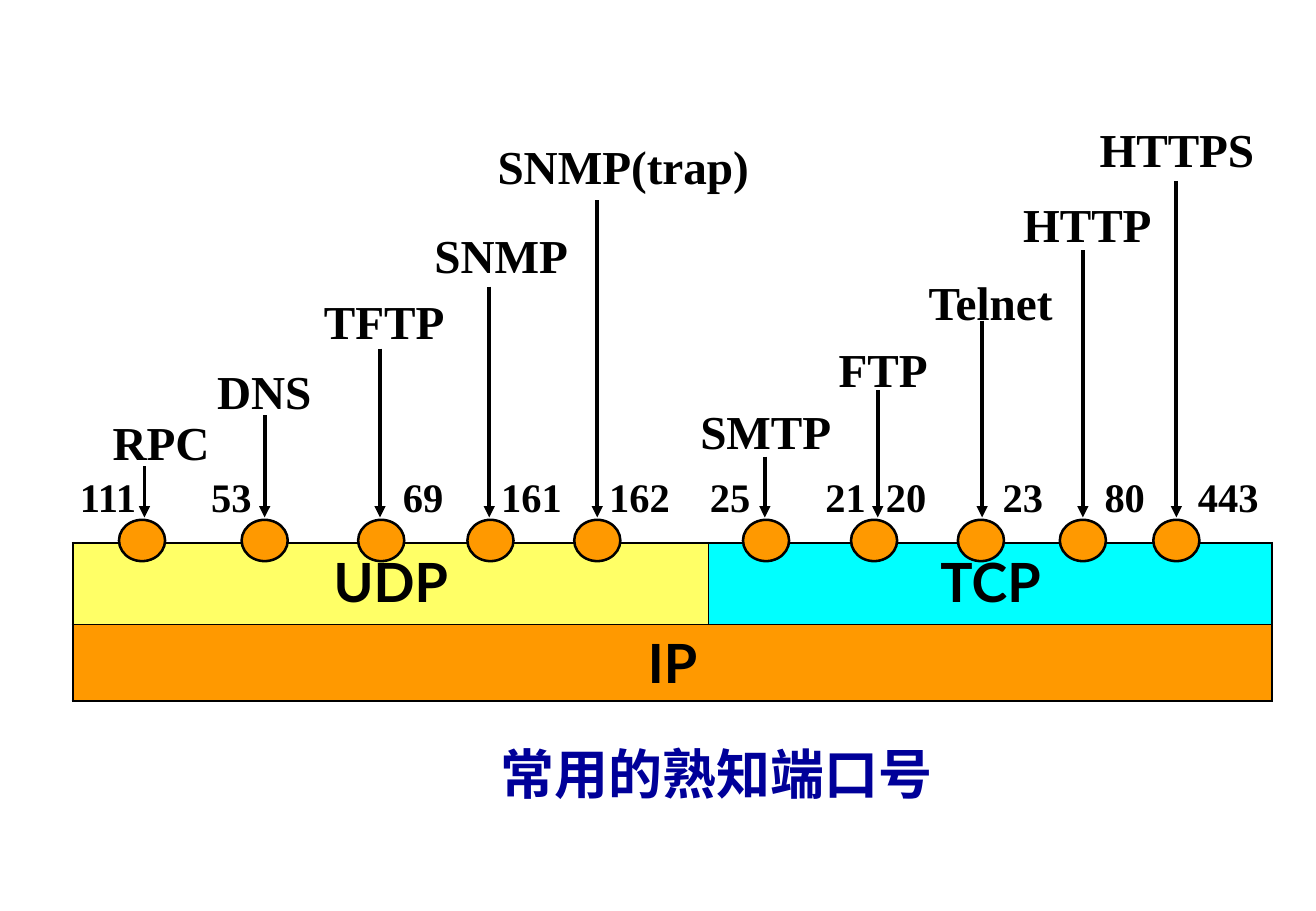
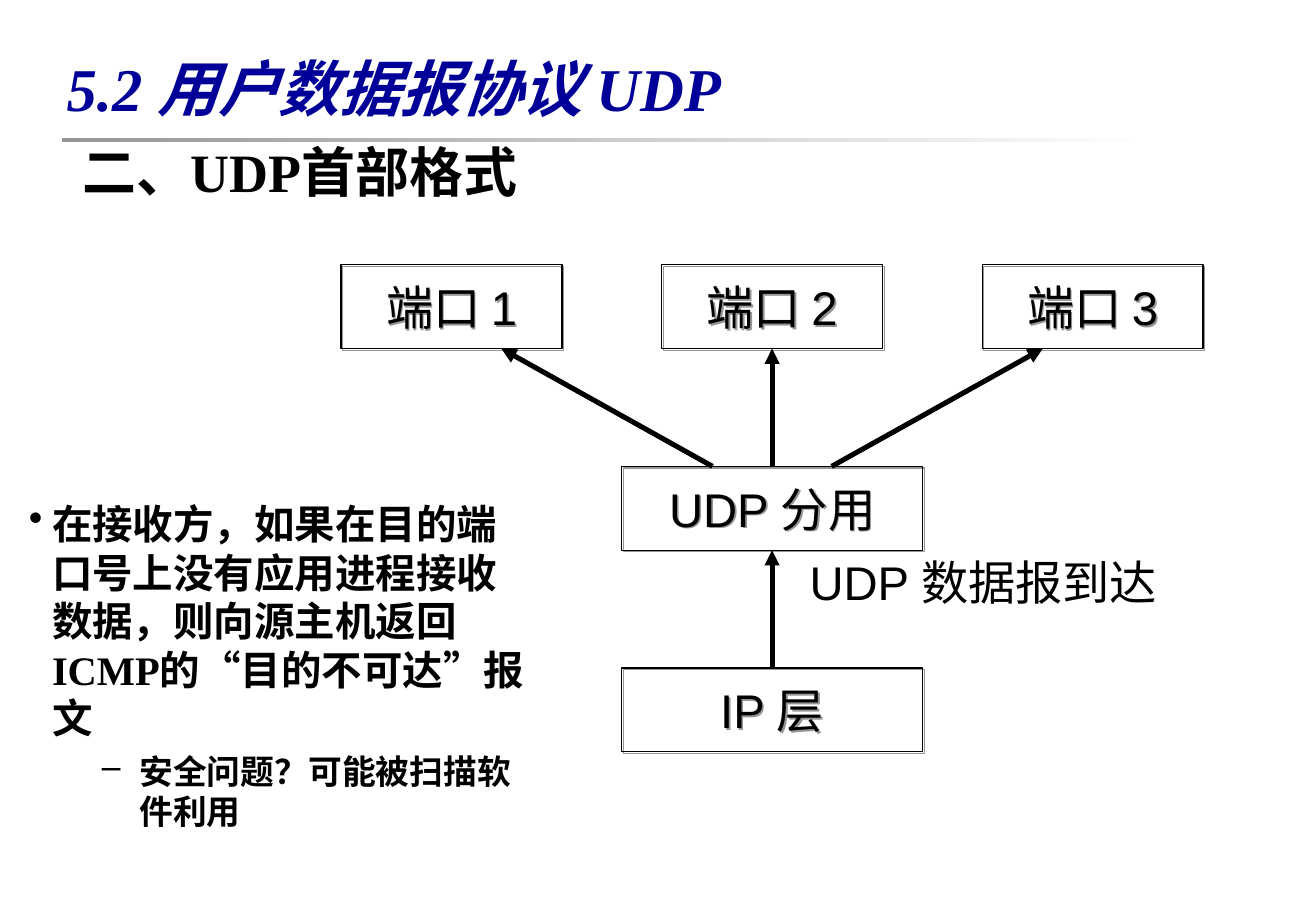
from lxml.etree import SubElement
from pptx import Presentation
from pptx.dml.color import RGBColor
from pptx.enum.lang import MSO_LANGUAGE_ID as LANG
from pptx.enum.shapes import MSO_CONNECTOR, MSO_SHAPE
from pptx.enum.text import MSO_ANCHOR as ANCHOR, PP_ALIGN as ALIGN
from pptx.oxml.ns import qn
from pptx.util import Inches, Pt

BLACK, WHITE, NAVY, GREY = "000000", "FFFFFF", "000099", "969696"
ORANGE, YELLOW, CYAN = "FF9900", "FFFF66", "00FFFF"

SERIF = dict(name="Times New Roman", bold=True, color=BLACK)
CAPTION = dict(SERIF, size=32, color=NAVY)
TITLE = dict(SERIF, size=36, color=NAVY, italic=True)
HEADING = dict(SERIF, size=32)
SERVICE = dict(SERIF, size=28)
PORT = dict(SERIF, size=24)
NOTE = dict(SERIF, size=20)
LAYER = dict(name="Lato", size=32, bold=True, color=BLACK)
BOX = dict(name="Arial", size=28, color=BLACK)

LAYERS = [[("UDP", YELLOW), ("TCP", CYAN)], [("IP", ORANGE), ("", ORANGE)]]
LAYER_COLS, LAYER_ROWS = (5.24, 4.64), (0.67, 0.63)

# name, left, top, width, arrow x, arrow start, socket centre
SERVICES = [
    ("RPC", 0.83, 3.35, 1.2, 1.19, 3.84, 1.17),
    ("DNS", 1.69, 2.93, 1.44, 2.18, 3.42, 2.18),
    ("TFTP", 2.57, 2.36, 1.8, 3.13, 2.87, 3.14),
    ("SNMP", 3.48, 1.81, 1.68, 4.03, 2.36, 4.04),
    ("SNMP(trap)", 4, 1.08, 2.37, 4.92, 1.65, 4.92),
    ("SMTP", 5.67, 3.26, 1.56, 6.3, 3.76, 6.31),
    ("FTP", 6.81, 2.75, 1.44, 7.23, 3.21, 7.2),
    ("Telnet", 7.55, 2.2, 1.68, 8.09, 2.64, 8.08),
    ("HTTP", 8.33, 1.56, 1.68, 8.92, 2.06, 8.92),
    ("HTTPS", 8.96, 0.94, 1.68, 9.69, 1.49, 9.69),
]
PORTS = [("111", 0.56), ("53", 1.64), ("69", 3.22), ("161", 4.03), ("162", 4.92),
         ("25", 5.75), ("21", 6.7), ("20", 7.2), ("23", 8.16), ("80", 9), ("443", 9.77)]
ARROW_END, SOCKET_TOP, SOCKET_W, SOCKET_H = 4.26, 4.28, 0.38, 0.34

PORT_BOXES = ["端口 1", "端口 2", "端口 3"]
AXIS, PORT_PITCH, PORT_W, LAYER_W, BOX_H = 6.36, 2.64, 1.82, 2.48, 0.69
PORT_TOP, UDP_TOP, IP_TOP = 2.18, 3.84, 5.5
FAN_START, FAN_END = 0.49, 2.23

BULLETS = [
    ("在接收方，如果在目的端口号上没有应用进程接收数据，则向源主机返回ICMP的“目的不可达”报文",
     PORT, "•", 0.19, 0.19, 0),
    ("安全问题？可能被扫描软件利用", NOTE, "–", 0.91, 0.31, 5),
]


def rgb(value):
    return RGBColor.from_string(value)


def write(p, text, style):
    r = p.add_run()
    r.text = text
    r.font.language_id = LANG.SIMPLIFIED_CHINESE
    for key, value in style.items():
        if key == "color":
            r.font.color.rgb = rgb(value)
        else:
            setattr(r.font, key, Pt(value) if key == "size" else value)


def add_text(s, text, at, style, align=ALIGN.LEFT, anchor=ANCHOR.TOP, wrap=True):
    tf = s.shapes.add_textbox(*map(Inches, at)).text_frame
    tf.word_wrap, tf.vertical_anchor = wrap, anchor
    p = tf.paragraphs[0]
    p.alignment = align
    write(p, text, style)
    return tf


def add_shape(s, kind, at, line=None, fill=None):
    sp = s.shapes.add_shape(kind, *map(Inches, at))
    sp.shadow.inherit = False
    if fill:
        sp.fill.solid()
        sp.fill.fore_color.rgb = rgb(fill)
    else:
        sp.fill.background()
    if line:
        sp.line.color.rgb = rgb(BLACK)
        sp.line.width = Pt(line)
    else:
        sp.line.fill.background()
    return sp


def add_arrow(s, x1, y1, x2, y2, width):
    c = s.shapes.add_connector(MSO_CONNECTOR.STRAIGHT, *map(Inches, (x1, y1, x2, y2)))
    c.line.color.rgb = rgb(BLACK)
    c.line.width = Pt(width)
    SubElement(c.line._get_or_add_ln(), qn("a:tailEnd"), type="triangle")
    SubElement(c._element.spPr, qn("a:effectLst"))
    return c


def add_box(s, text, centre, top, width):
    sp = add_shape(s, MSO_SHAPE.RECTANGLE, (centre - width / 2, top, width, BOX_H), 0.75)
    effects = sp._element.spPr.find(qn("a:effectLst"))
    shadow = SubElement(effects, qn("a:outerShdw"), blurRad="0", dist=str(Pt(1.4)),
                        dir="2700000", algn="ctr", rotWithShape="0")
    SubElement(shadow, qn("a:srgbClr"), val=GREY)
    tf = sp.text_frame
    tf.word_wrap, tf.vertical_anchor = False, ANCHOR.MIDDLE
    tf.paragraphs[0].alignment = ALIGN.CENTER
    write(tf.paragraphs[0], text, BOX)
    return sp


def set_borders(cell, edges):
    tcPr = cell._tc.get_or_add_tcPr()
    for side, outer in edges.items():
        ln = SubElement(tcPr, qn("a:ln" + side), w=str(Pt(1.47 if outer else 0.75)))
        SubElement(SubElement(ln, qn("a:solidFill")), qn("a:srgbClr"), val=BLACK)


def add_layers(s):
    at = (0.6, 4.47, sum(LAYER_COLS), sum(LAYER_ROWS))
    table = s.shapes.add_table(2, 2, *map(Inches, at)).table
    table.first_row = table.horz_banding = False
    for col, width in zip(table.columns, LAYER_COLS):
        col.width = Inches(width)
    for row, height in zip(table.rows, LAYER_ROWS):
        row.height = Inches(height)
    table.cell(1, 0).merge(table.cell(1, 1))
    for i, row in enumerate(LAYERS):
        for j, (text, fill) in enumerate(row):
            cell = table.cell(i, j)
            cell.margin_left = cell.margin_right = Inches(0.11)
            set_borders(cell, dict(L=j == 0, R=j == 1 or i == 1, T=i == 0, B=i == 1))
            cell.fill.solid()
            cell.fill.fore_color.rgb = rgb(fill)
            if text:
                p = cell.text_frame.paragraphs[0]
                p.alignment = ALIGN.CENTER
                write(p, text, LAYER)


def add_bullets(s, at):
    tf = s.shapes.add_textbox(*map(Inches, at)).text_frame
    tf.word_wrap = True
    for i, (text, style, mark, left, hang, before) in enumerate(BULLETS):
        p = tf.add_paragraph() if i else tf.paragraphs[0]
        p.level = i
        p.space_before = Pt(before)
        pPr = p._p.get_or_add_pPr()
        pPr.set("marL", str(Inches(left)))
        pPr.set("indent", str(-Inches(hang)))
        SubElement(SubElement(pPr, qn("a:buClr")), qn("a:srgbClr"), val=BLACK)
        SubElement(pPr, qn("a:buChar"), char=mark)
        write(p, text, style)


def build_ports(s):
    add_text(s, "常用的熟知端口号", (2.57, 5.98, 6.67, 0.77), CAPTION, ALIGN.CENTER, ANCHOR.MIDDLE)
    add_layers(s)
    for name, left, top, width, x, start, centre in SERVICES:
        add_text(s, name, (left, top, width, 0.57), SERVICE)
        add_shape(s, MSO_SHAPE.OVAL, (centre - SOCKET_W / 2, SOCKET_TOP, SOCKET_W, SOCKET_H),
                  1.5, ORANGE)
        add_arrow(s, x, start, x, ARROW_END, 2.25)
    for number, left in PORTS:
        add_text(s, number, (left, 3.84, 0.9, 0.5), PORT)


def build_demux(s):
    bar = add_shape(s, MSO_SHAPE.RECTANGLE, (0.51, 1.14, 9, 0.03))
    bar.fill.gradient()
    bar.fill.gradient_angle = 0
    for stop, color in zip(bar.fill.gradient_stops, (GREY, WHITE)):
        stop.color.rgb = rgb(color)
    add_text(s, "5.2 用户数据报协议 UDP", (0.45, 0.28, 9.84, 0.87), TITLE, anchor=ANCHOR.MIDDLE)
    tf = add_text(s, "二、UDP首部格式", (0.58, 1.15, 9.87, 0.63), HEADING)
    tf.paragraphs[0].line_spacing = 0.9

    ip = add_box(s, "IP 层", AXIS, IP_TOP, LAYER_W)
    udp = add_box(s, "UDP 分用", AXIS, UDP_TOP, LAYER_W)
    add_text(s, "UDP 数据报到达", (6.57, 4.51, 3.16, 0.57), BOX, wrap=False)
    up = add_arrow(s, AXIS, IP_TOP, AXIS, UDP_TOP + BOX_H, 3)
    up.begin_connect(ip, 0)
    up.end_connect(udp, 2)
    for side, text in zip((-1, 0, 1), PORT_BOXES):
        port = add_box(s, text, AXIS + side * PORT_PITCH, PORT_TOP, PORT_W)
        arrow = add_arrow(s, AXIS + side * FAN_START, UDP_TOP,
                          AXIS + side * FAN_END, PORT_TOP + BOX_H, 3)
        if side == 0:
            arrow.begin_connect(udp, 0)
            arrow.end_connect(port, 2)
    add_bullets(s, (0.14, 4.06, 4.33, 3.07))


def main():
    prs = Presentation()
    prs.slide_width, prs.slide_height = Inches(10.84), Inches(7.5)
    for build in (build_ports, build_demux):
        build(prs.slides.add_slide(prs.slide_layouts[6]))
    prs.save("out.pptx")


if __name__ == "__main__":
    main()
